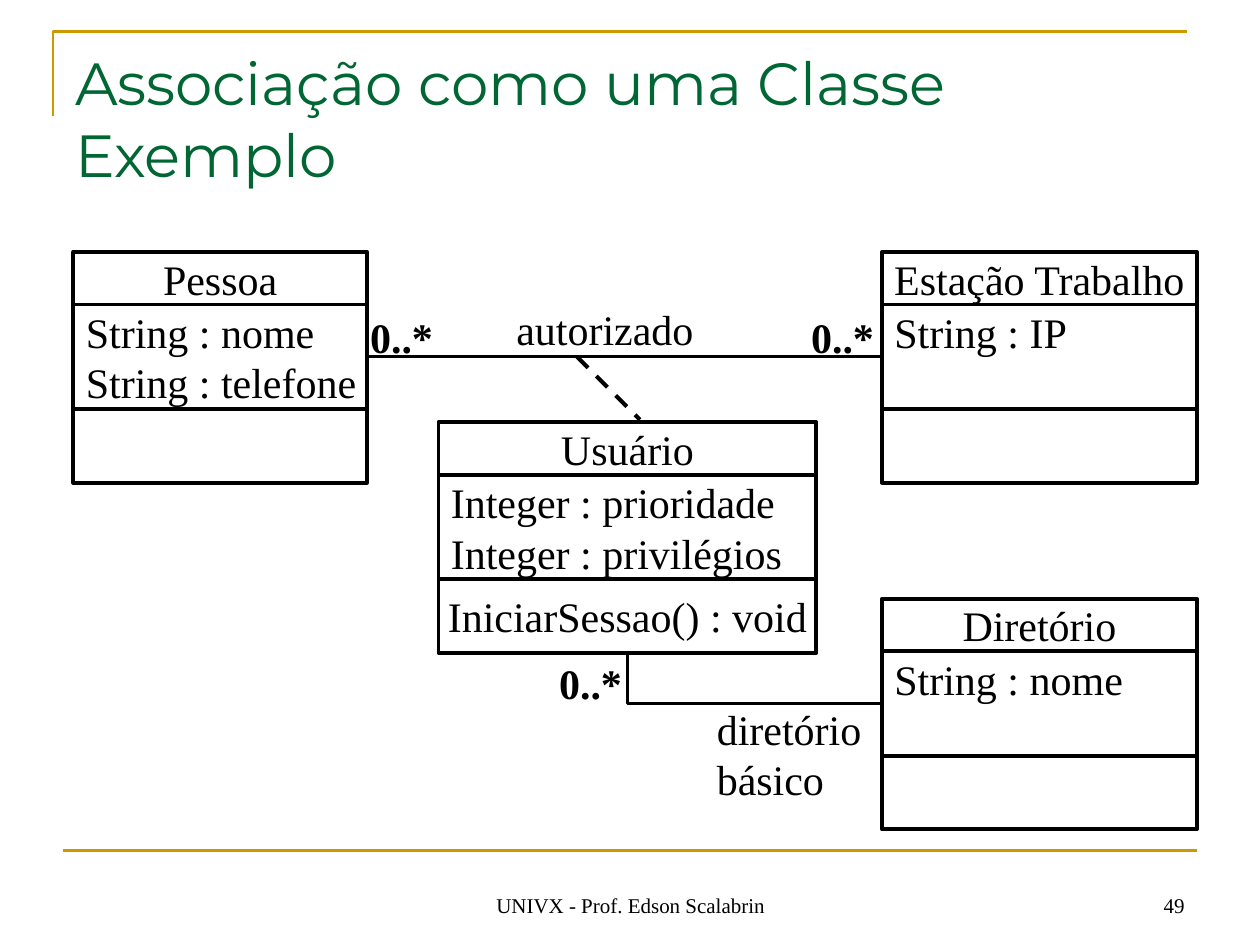
from pptx import Presentation
from pptx.dml.color import RGBColor
from pptx.enum.dml import MSO_LINE as Dash
from pptx.enum.shapes import MSO_CONNECTOR as Link, MSO_SHAPE as Form
from pptx.enum.text import MSO_ANCHOR as Anchor, MSO_AUTO_SIZE as Fit
from pptx.enum.text import PP_ALIGN as Align
from pptx.oxml.ns import qn
from pptx.util import Cm, Pt
from lxml.etree import SubElement

BLACK = RGBColor(0x00, 0x00, 0x00)
WHITE = RGBColor(0xFF, 0xFF, 0xFF)
GREEN = RGBColor(0x00, 0x66, 0x33)
GOLD = RGBColor(0xCC, 0x99, 0x00)
SERIF = "Times New Roman"
HEAD, BODY, FOOT = 1.06, 2.11, 1.48


def write(frame, lines, size=24, align=Align.LEFT, color=BLACK,
          face=SERIF, bold=False):
    for i, line in enumerate(lines):
        para = frame.paragraphs[0] if i == 0 else frame.add_paragraph()
        para.text = line
        para.alignment = align
        font = para.font
        font.name, font.size, font.bold = face, Pt(size), bold
        font.color.rgb = color


def label(slide, left, top, width, height, lines, wrap=False,
          anchor=Anchor.TOP, **style):
    box = slide.shapes.add_textbox(Cm(left), Cm(top), Cm(width), Cm(height))
    frame = box.text_frame
    frame.word_wrap = wrap
    frame.auto_size = Fit.NONE if wrap else Fit.SHAPE_TO_FIT_TEXT
    frame.vertical_anchor = anchor
    write(frame, lines, **style)


def link(slide, start, end, color=BLACK, width=1.75, kind=Link.STRAIGHT):
    line = slide.shapes.add_connector(kind, *map(Cm, start + end))
    line.line.color.rgb = color
    line.line.width = Pt(width)
    SubElement(line._element.spPr, qn("a:effectLst"))
    return line


def uml_class(slide, left, top, width, name, attrs, method=None):
    parts = [
        (HEAD, [name], Align.CENTER),
        (BODY, attrs, Align.LEFT),
        (FOOT, [method] if method else [], Align.CENTER),
    ]
    for height, lines, align in parts:
        cell = slide.shapes.add_shape(
            Form.RECTANGLE, Cm(left), Cm(top), Cm(width), Cm(height))
        cell.shadow.inherit = False
        cell.fill.solid()
        cell.fill.fore_color.rgb = WHITE
        cell.line.color.rgb = BLACK
        cell.line.width = Pt(2.25)
        frame = cell.text_frame
        frame.word_wrap = False
        frame.vertical_anchor = Anchor.MIDDLE
        if lines is attrs:
            frame.vertical_anchor = Anchor.TOP
            frame.margin_top = Cm(0.04)
            frame.margin_bottom = Cm(0)
        write(frame, lines, align=align)
        top += height


def header(slide, left, top, width, height):
    pen = slide.shapes.build_freeform(Cm(left), Cm(top + height))
    pen.add_line_segments(
        [(Cm(left), Cm(top)), (Cm(left + width), Cm(top))], close=False)
    edge = pen.convert_to_shape()
    edge.shadow.inherit = False
    edge.fill.background()
    edge.line.color.rgb = GOLD
    edge.line.width = Pt(1.5)
    label(slide, left + 0.2, top + 0.12, width, 3.18,
          ["Associação como uma Classe\vExemplo"], wrap=True,
          anchor=Anchor.BOTTOM, size=34, color=GREEN, face="Montserrat")


def footer(slide, left, top, width):
    link(slide, (left, top), (left + width, top), GOLD, 1.5)
    label(slide, left + 7.42, top + 0.2, 8.05, 1.27,
          ["UNIVX - Prof. Edson Scalabrin"], wrap=True,
          anchor=Anchor.BOTTOM, size=12, align=Align.CENTER)
    label(slide, left + width - 5.92, top + 0.2, 5.92, 1.27, ["49"],
          wrap=True, anchor=Anchor.BOTTOM, size=12, align=Align.RIGHT)


def diagram(slide, left, top):
    def at(x, y):
        return left + x, top + y

    uml_class(slide, *at(0, 0), 5.92, "Pessoa",
              ["String : nome", "String : telefone"])
    uml_class(slide, *at(16.3, 0), 6.35, "Estação Trabalho", ["String : IP"])
    uml_class(slide, *at(7.36, 3.43), 7.62, "Usuário",
              ["Integer : prioridade", "Integer : privilégios"],
              "IniciarSessao() : void")
    uml_class(slide, *at(16.3, 6.99), 6.35, "Diretório", ["String : nome"])

    link(slide, at(5.92, 2.11), at(16.3, 2.11))
    bend = link(slide, at(16.3, 9.1), at(11.17, 8.08), kind=Link.ELBOW)
    bend._element.spPr.find(qn("a:prstGeom")).set("prst", "bentConnector2")
    dash = link(slide, at(10.15, 2.11), at(11.42, 3.38), width=2.25)
    dash.line.dash_style = Dash.DASH

    label(slide, *at(8.68, 0.91), 4.2, 1.27, ["autorizado"])
    label(slide, *at(12.72, 8.97), 3.43, 2.29, ["diretório", "básico"])
    for x, y in [(14.62, 1.07), (5.73, 1.07), (9.54, 8.05)]:
        label(slide, *at(x, y), 1.78, 1.27, ["0..*"], bold=True)


def main():
    deck = Presentation()
    deck.slide_width, deck.slide_height = Cm(25.4), Cm(19.05)
    slide = deck.slides.add_slide(deck.slide_layouts[6])
    header(slide, 1.07, 0.64, 22.86, 1.7)
    footer(slide, 1.27, 17.15, 22.86)
    diagram(slide, 1.48, 5.08)
    deck.save("out.pptx")


if __name__ == "__main__":
    main()
